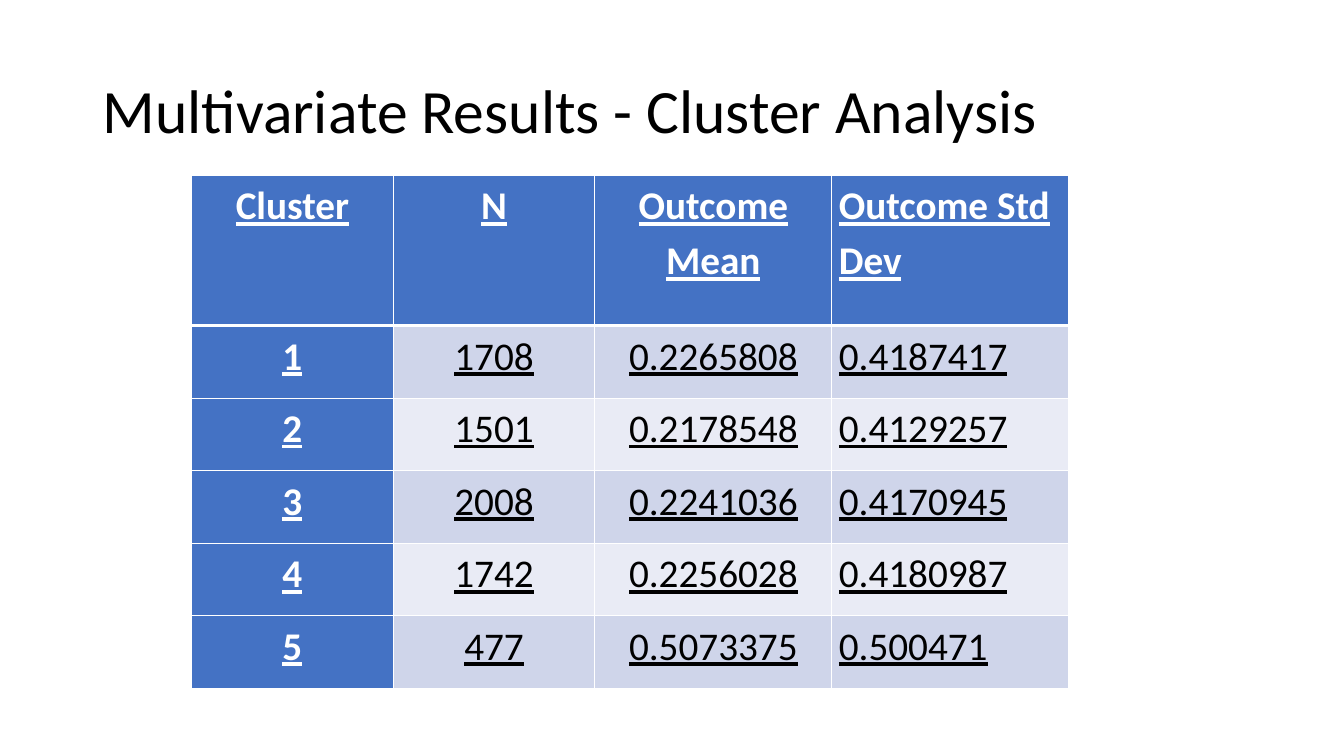
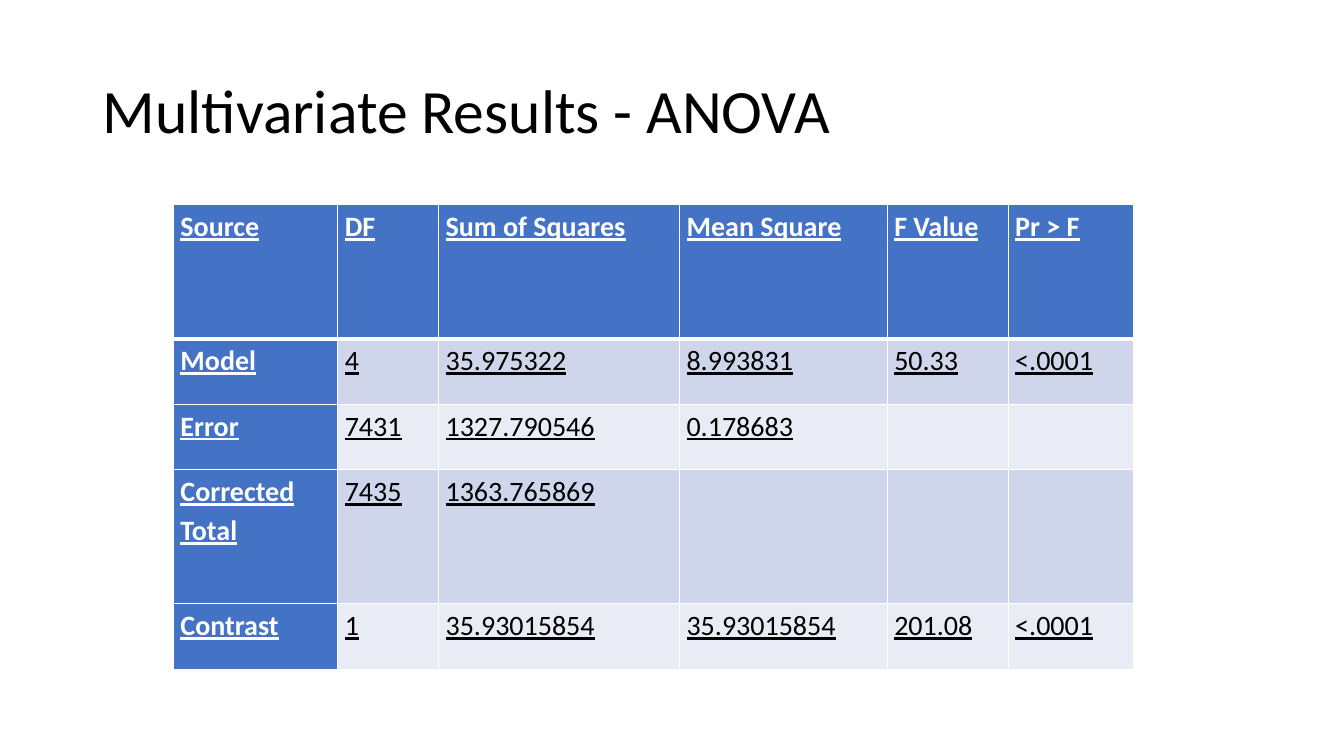
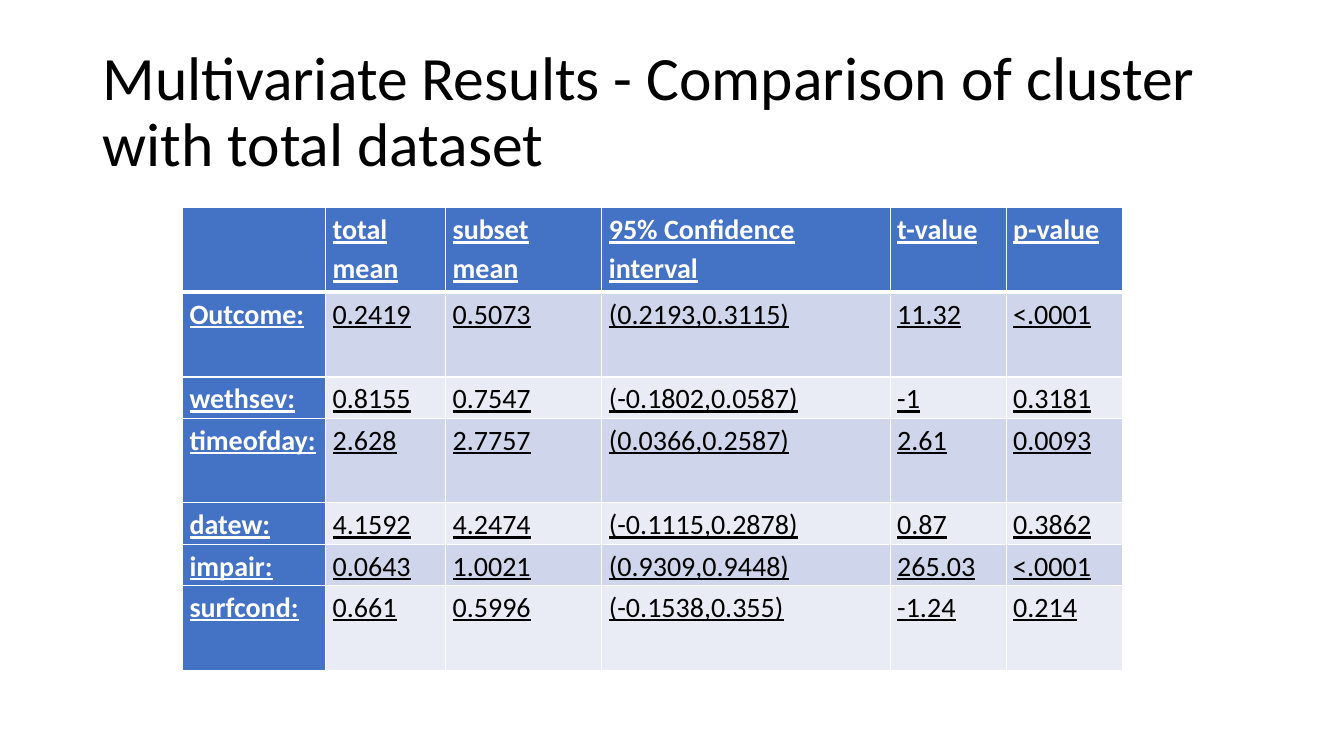
from lxml.etree import SubElement
from pptx import Presentation
from pptx.dml.color import RGBColor
from pptx.enum.text import MSO_ANCHOR as Anchor, PP_ALIGN as Align
from pptx.oxml.ns import qn
from pptx.util import Inches, Pt

COLORS = {
    "title": "000000",
    "body": "000000",
    "header": "4472C4",
    "header_text": "FFFFFF",
    "border": "FFFFFF",
    "odd_row": "CFD5EA",
    "even_row": "E9EBF5",
}
FONT = "Calibri"


class ResultsDeck:
    def __init__(self):
        self.deck = Presentation()
        self.deck.slide_width = Inches(13.33)
        self.deck.slide_height = Inches(7.5)
        self.page = None

    def add_page(self, title):
        self.page = self.deck.slides.add_slide(self.deck.slide_layouts[6])
        box = self.page.shapes.add_textbox(
            Inches(0.92), Inches(0.4), Inches(11.5), Inches(1.45))
        frame = box.text_frame
        frame.word_wrap = True
        frame.vertical_anchor = Anchor.MIDDLE
        para = frame.paragraphs[0]
        para.line_spacing = 0.9
        self.add_span(para, title, 44, "title")

    def add_span(self, para, text, size, color, bold=False, underline=False):
        span = para.add_run()
        span.text = text
        font = span.font
        font.name = FONT
        font.size = Pt(size)
        font.bold = bold
        font.underline = underline
        font.color.rgb = RGBColor.from_string(COLORS[color])

    def add_borders(self, cell, top, bottom):
        properties = cell._tc.get_or_add_tcPr()
        for side, width in (("L", 1), ("R", 1), ("T", top), ("B", bottom)):
            line = SubElement(properties, qn(f"a:ln{side}"), w=str(Pt(width)))
            fill = SubElement(line, qn("a:solidFill"))
            SubElement(fill, qn("a:srgbClr"), val=COLORS["border"])

    def add_cell(self, cell, text, row, column, size, align):
        heading = row == 0 or column == 0
        self.add_borders(cell, 3 if row == 1 else 1, 3 if row == 0 else 1)
        band = "header" if heading else "odd_row" if row % 2 else "even_row"
        cell.fill.solid()
        cell.fill.fore_color.rgb = RGBColor.from_string(COLORS[band])
        cell.margin_left = cell.margin_right = Inches(0.07)
        cell.margin_top = cell.margin_bottom = 0
        para = cell.text_frame.paragraphs[0]
        para.alignment = align
        para.line_spacing = 1.15
        if text:
            color = "header_text" if heading else "body"
            self.add_span(para, text, size, color, heading, True)

    def add_results(self, left, top, widths, heights, rows, size, centered=0):
        table = self.page.shapes.add_table(
            len(rows), len(widths), Inches(left), Inches(top),
            Inches(sum(widths)), Inches(sum(heights))).table
        table.first_col = True
        for column, width in zip(table.columns, widths):
            column.width = Inches(width)
        for line, height in zip(table.rows, heights):
            line.height = Inches(height)
        for row, texts in enumerate(rows):
            for column, text in enumerate(texts):
                align = Align.CENTER if column < centered else Align.LEFT
                self.add_cell(table.cell(row, column), text, row, column, size, align)


results = ResultsDeck()

results.add_page("Multivariate Results - Cluster Analysis")
clusters = [
    ("Cluster", "N", "Outcome Mean", "Outcome Std Dev"),
    ("1", "1708", "0.2265808", "0.4187417"),
    ("2", "1501", "0.2178548", "0.4129257"),
    ("3", "2008", "0.2241036", "0.4170945"),
    ("4", "1742", "0.2256028", "0.4180987"),
    ("5", "477", "0.5073375", "0.500471"),
]
results.add_results(1.9, 1.74, [2, 2, 2.35, 2.35], [1.49] + [0.72] * 5,
                    clusters, 28, centered=3)

results.add_page("Multivariate Results - ANOVA")
anova = [
    ("Source", "DF", "Sum of Squares", "Mean Square", "F Value", "Pr\u00a0>\u00a0F"),
    ("Model", "4", "35.975322", "8.993831", "50.33", "<.0001"),
    ("Error", "7431", "1327.790546", "0.178683", "", ""),
    ("Corrected Total", "7435", "1363.765869", "", "", ""),
    ("Contrast", "1", "35.93015854", "35.93015854", "201.08", "<.0001"),
]
results.add_results(1.72, 2.03, [1.63, 1, 2.39, 2.06, 1.2, 1.24],
                    [1.33, 0.65, 0.65, 1.33, 0.65], anova, 20)

results.add_page("Multivariate Results - Comparison of cluster with total dataset")
comparison = [
    ("", "total mean", "subset mean", "95% Confidence interval", "t-value", "p-value"),
    ("Outcome:", "0.2419", "0.5073", "(0.2193,0.3115)", "11.32", "<.0001"),
    ("wethsev:", "0.8155", "0.7547", "(-0.1802,0.0587)", "-1", "0.3181"),
    ("timeofday:", "2.628", "2.7757", "(0.0366,0.2587)", "2.61", "0.0093"),
    ("datew:", "4.1592", "4.2474", "(-0.1115,0.2878)", "0.87", "0.3862"),
    ("impair:", "0.0643", "1.0021", "(0.9309,0.9448)", "265.03", "<.0001"),
    ("surfcond:", "0.661", "0.5996", "(-0.1538,0.355)", "-1.24", "0.214"),
]
results.add_results(1.81, 2.06, [1.42, 1.19, 1.55, 2.86, 1.15, 1.15],
                    [0.84, 0.84, 0.41, 0.84, 0.41, 0.41, 0.84], comparison, 20)

results.deck.save("out.pptx")
